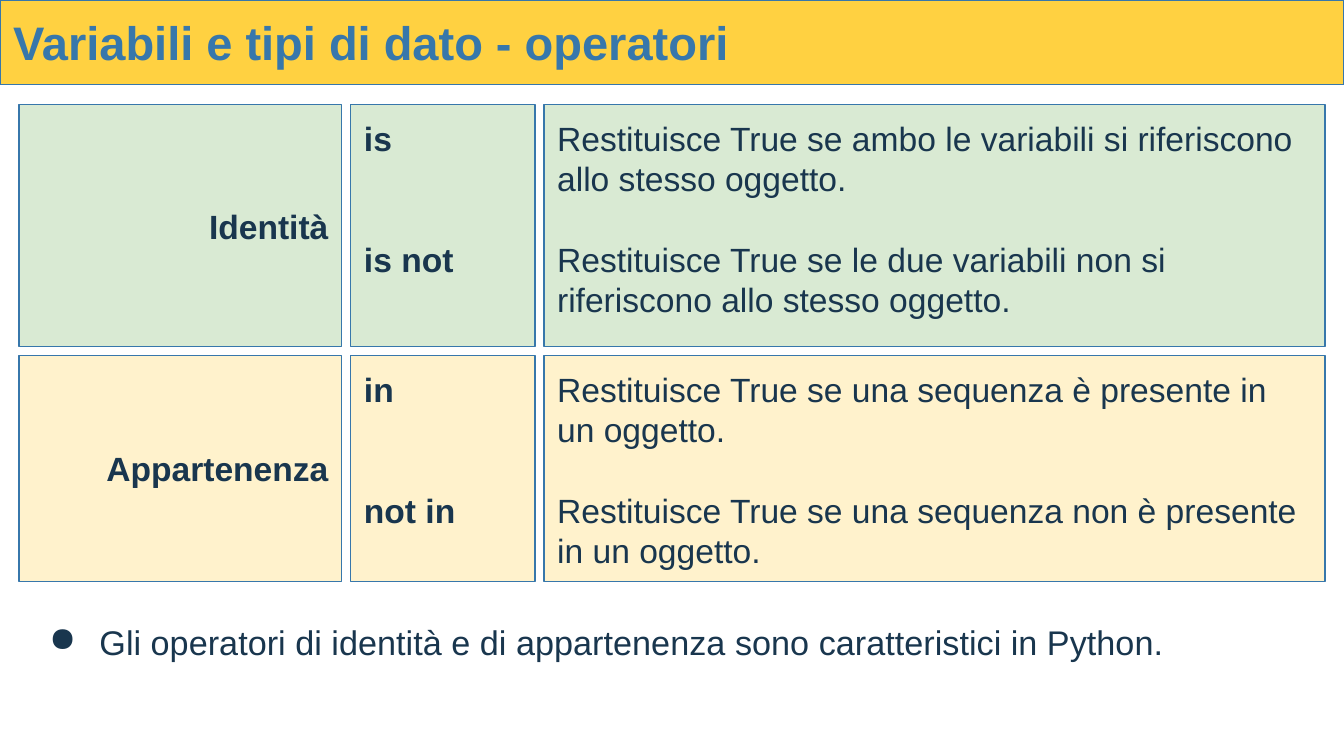
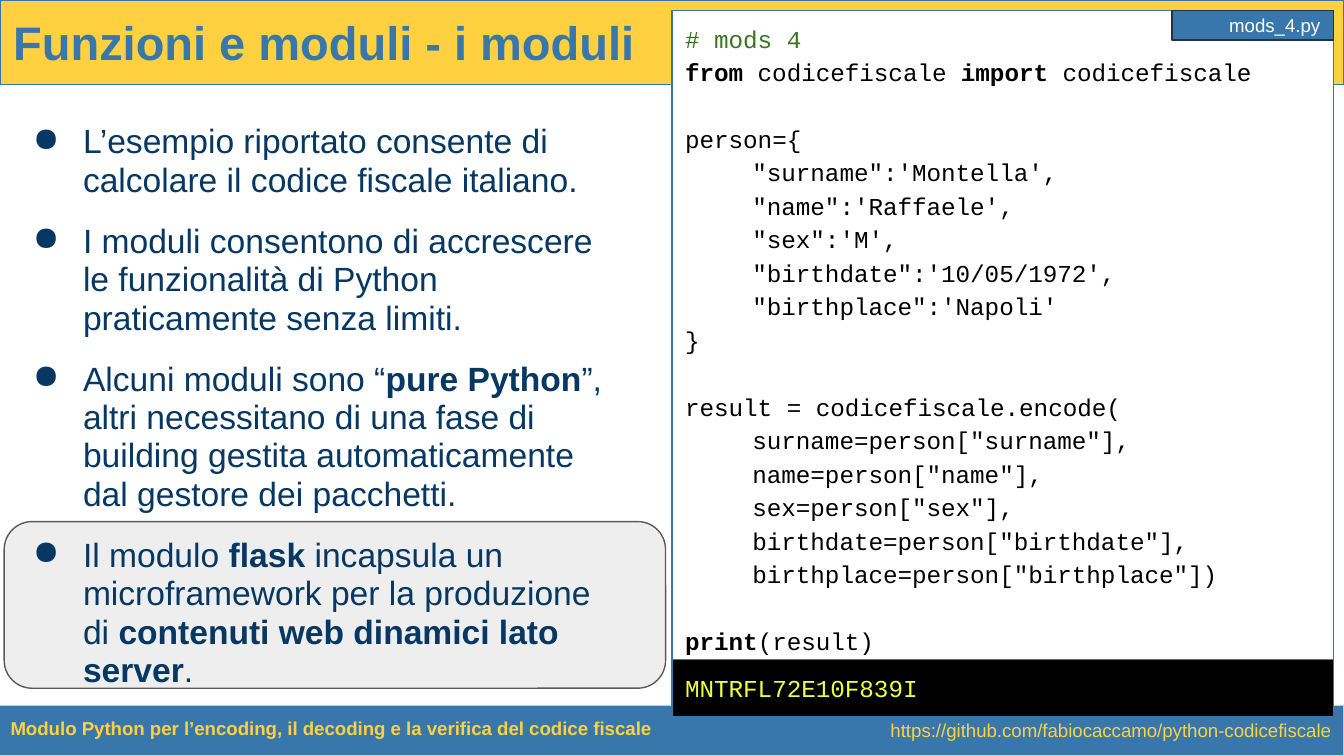
from dataclasses import dataclass, replace
from typing import Optional

import pptx
import pptx.dml.color
import pptx.enum.shapes
import pptx.enum.text
import pptx.oxml.ns
import pptx.util
from lxml import etree

Cm = pptx.util.Cm
Pt = pptx.util.Pt
RGBColor = pptx.dml.color.RGBColor
Align = pptx.enum.text.PP_ALIGN
Anchor = pptx.enum.text.MSO_ANCHOR
Preset = pptx.enum.shapes.MSO_SHAPE

# Palette
BLUE = RGBColor(0x37, 0x77, 0xAB)
YELLOW = RGBColor(0xFF, 0xD1, 0x41)
INK = RGBColor(0x19, 0x36, 0x4E)
NAVY = RGBColor(0x07, 0x37, 0x63)
GREEN_TINT = RGBColor(0xD9, 0xEA, 0xD3)
CREAM = RGBColor(0xFF, 0xF2, 0xCC)
PALE_GREY = RGBColor(0xEE, 0xEE, 0xEE)
DARK_GREY = RGBColor(0x59, 0x59, 0x59)
COMMENT_GREEN = RGBColor(0x38, 0x76, 0x1D)
OUTPUT_YELLOW = RGBColor(0xEE, 0xFF, 0x41)
WHITE = RGBColor(0xFF, 0xFF, 0xFF)
BLACK = RGBColor(0x00, 0x00, 0x00)

SLIDE_WIDTH, SLIDE_HEIGHT = 25.4, 14.29
INSET = 0.25
BULLET_INDENT, BULLET_HANG = 1.27, 0.95


@dataclass(frozen=True)
class Box:
    """Position and size in centimetres."""
    left: float
    top: float
    width: float
    height: float


@dataclass(frozen=True)
class TextStyle:
    size: float
    color: RGBColor
    font: str = "Arial"
    bold: bool = False
    align: Align = Align.LEFT
    anchor: Anchor = Anchor.TOP
    bullet: bool = False


@dataclass(frozen=True)
class Line:
    """One paragraph; **double asterisks** switch bold on and off."""
    text: str
    gap: float = 0
    indent: float = 0
    spacing: Optional[float] = None
    color: Optional[RGBColor] = None


@dataclass(frozen=True)
class OperatorFamily:
    name: str
    fill: RGBColor
    height: float
    operators: tuple[str, str]
    meanings: tuple[str, str]


TITLE = TextStyle(25.2, BLUE, bold=True)
MEANING = TextStyle(18, INK)
OPERATOR = replace(MEANING, bold=True)
FAMILY = replace(OPERATOR, align=Align.RIGHT, anchor=Anchor.MIDDLE)
REMARK = TextStyle(18.3, INK, bullet=True)
BULLETS = TextStyle(18, NAVY, bullet=True)
CODE = TextStyle(13, BLACK, font="Courier New")
OUTPUT = replace(CODE, color=OUTPUT_YELLOW)
FILE_TAG = TextStyle(10, WHITE, align=Align.RIGHT, anchor=Anchor.MIDDLE)
LINK = TextStyle(10, YELLOW, align=Align.RIGHT)
CAPTION = TextStyle(10, YELLOW, bold=True)

# Operator table
COLUMN_WIDTHS = (6.1, 3.48, 14.76)
TABLE_LEFT, TABLE_TOP, CELL_GAP = 0.36, 1.98, 0.17
TEXT_LINE = 21.6  # height of one 18 pt line, in points
FAMILIES = (
    OperatorFamily(
        "Identità", GREEN_TINT, 4.57, ("is", "is not"),
        ("Restituisce True se ambo le variabili si riferiscono allo stesso oggetto.",
         "Restituisce True se le due variabili non si riferiscono allo stesso oggetto.")),
    OperatorFamily(
        "Appartenenza", CREAM, 4.27, ("in", "not in"),
        ("Restituisce True se una sequenza è presente in un oggetto.",
         "Restituisce True se una sequenza non è presente in un oggetto.")),
)

# Module example
MODULE_POINTS = (
    "L’esempio riportato consente di calcolare il codice fiscale italiano.",
    "I moduli consentono di accrescere le funzionalità di Python praticamente senza limiti.",
    "Alcuni moduli sono “**pure Python**”, altri necessitano di una fase di building "
    "gestita automaticamente dal gestore dei pacchetti.",
    "Il modulo **flask** incapsula un microframework per la produzione di "
    "**contenuti web dinamici lato server**.",
)
CODE_INDENT, CODE_SPACING, CODE_LINE = 1.27, 1.15, 17.9
CODE_TEXT = """# mods 4
**from** codicefiscale **import** codicefiscale

person={
    "surname":'Montella',
    "name":'Raffaele',
    "sex":'M',
    "birthdate":'10/05/1972',
    "birthplace":'Napoli'
}

result = codicefiscale.encode(
    surname=person["surname"],
    name=person["name"],
    sex=person["sex"],
    birthdate=person["birthdate"],
    birthplace=person["birthplace"])

**print**(result)"""


def code_lines(source: str) -> list[Line]:
    """Turn blank lines into spacing and leading spaces into indents."""
    lines: list[Line] = []
    gap = 0.0
    for row in source.splitlines():
        if not row:
            gap = CODE_LINE
            continue
        lines.append(Line(
            row.strip(), gap,
            indent=CODE_INDENT if row.startswith(" ") else 0,
            spacing=CODE_SPACING if lines else None,
            color=COMMENT_GREEN if row.startswith("#") else None))
        gap = 0.0
    return lines


def add_bullet(paragraph, color: RGBColor) -> None:
    properties = paragraph._p.get_or_add_pPr()
    properties.set("marL", str(Cm(BULLET_INDENT)))
    properties.set("indent", str(-Cm(BULLET_HANG)))
    qn = pptx.oxml.ns.qn
    bullet_color = etree.SubElement(properties, qn("a:buClr"))
    etree.SubElement(bullet_color, qn("a:srgbClr")).set("val", str(color))
    etree.SubElement(properties, qn("a:buChar")).set("char", "●")


def write(shape, lines: list[Line], style: TextStyle) -> None:
    frame = shape.text_frame
    frame.word_wrap = True
    frame.vertical_anchor = style.anchor
    frame.margin_left = frame.margin_right = Cm(INSET)
    frame.margin_top = frame.margin_bottom = Cm(INSET)
    for number, line in enumerate(lines):
        paragraph = frame.add_paragraph() if number else frame.paragraphs[0]
        paragraph.alignment = style.align
        if line.spacing:
            paragraph.line_spacing = line.spacing
        if line.gap:
            paragraph.space_before = Pt(line.gap)
        if line.indent:
            paragraph._p.get_or_add_pPr().set("indent", str(Cm(line.indent)))
        if style.bullet:
            add_bullet(paragraph, style.color)
        for part, text in enumerate(line.text.split("**")):
            if not text:
                continue
            run = paragraph.add_run()
            run.text = text
            run.font.size = Pt(style.size)
            run.font.name = style.font
            run.font.bold = style.bold or part % 2 == 1
            run.font.color.rgb = line.color or style.color


def add_text(slide, box: Box, lines: list[Line], style: TextStyle) -> None:
    area = slide.shapes.add_textbox(
        Cm(box.left), Cm(box.top), Cm(box.width), Cm(box.height))
    write(area, lines, style)


def add_panel(slide, box: Box, fill: RGBColor, border: RGBColor = BLUE,
              lines: Optional[list[Line]] = None, style: TextStyle = MEANING,
              preset: Preset = Preset.RECTANGLE) -> None:
    panel = slide.shapes.add_shape(
        preset, Cm(box.left), Cm(box.top), Cm(box.width), Cm(box.height))
    panel.shadow.inherit = False
    panel.fill.solid()
    panel.fill.fore_color.rgb = fill
    panel.line.color.rgb = border
    panel.line.width = Pt(0.75)
    if lines:
        write(panel, lines, style)


def add_title(slide, text: str) -> None:
    add_panel(slide, Box(0, 0, SLIDE_WIDTH, 1.6), YELLOW,
              lines=[Line(text)], style=TITLE)


def build_operators(slide) -> None:
    add_title(slide, "Variabili e tipi di dato - operatori")
    top = TABLE_TOP
    for family in FAMILIES:
        first_operator, second_operator = family.operators
        first_meaning, second_meaning = family.meanings
        cells = (
            ([Line(family.name)], FAMILY),
            ([Line(first_operator), Line(second_operator, 2 * TEXT_LINE)], OPERATOR),
            ([Line(first_meaning), Line(second_meaning, TEXT_LINE)], MEANING),
        )
        left = TABLE_LEFT
        for width, (lines, style) in zip(COLUMN_WIDTHS, cells):
            add_panel(slide, Box(left, top, width, family.height), family.fill,
                      lines=lines, style=style)
            left += width + CELL_GAP
        top += family.height + CELL_GAP
    remark = Line("Gli operatori di identità e di appartenenza sono "
                  "caratteristici in Python.", spacing=1.15)
    add_text(slide, Box(TABLE_LEFT, 11.38, 24.69, 2.59), [remark], REMARK)


def build_modules(slide) -> None:
    # Highlight behind the last point, then title and points
    add_panel(slide, Box(0.08, 9.86, 12.5, 3.15), PALE_GREY, DARK_GREY,
              preset=Preset.ROUNDED_RECTANGLE)
    add_title(slide, "Funzioni e moduli - i moduli")
    points = [Line(text, gap=12.3 if number else 0, spacing=0.95)
              for number, text in enumerate(MODULE_POINTS)]
    add_text(slide, Box(0.05, 2.08, 11.99, 11.07), points, BULLETS)

    # Footer
    footer = Box(-0.05, 13.34, 25.45, 0.94)
    add_panel(slide, footer, BLUE, YELLOW,
              [Line("https://github.com/fabiocaccamo/python-codicefiscale")], LINK)
    add_text(slide, replace(footer, width=14.81),
             [Line("Modulo Python per l’encoding, il decoding e la verifica "
                   "del codice fiscale")], CAPTION)

    # Code, file name and program output
    code = Box(12.7, 0.2, 12.5, 12.5)
    add_panel(slide, code, WHITE, lines=code_lines(CODE_TEXT), style=CODE)
    add_panel(slide, Box(22.15, code.top, 3.05, 0.56), BLUE, INK,
              [Line("mods_4.py")], FILE_TAG)
    add_panel(slide, replace(code, top=12.47, height=1.07), BLACK,
              lines=[Line("MNTRFL72E10F839I")], style=OUTPUT)


def main() -> None:
    deck = pptx.Presentation()
    deck.slide_width = Cm(SLIDE_WIDTH)
    deck.slide_height = Cm(SLIDE_HEIGHT)
    blank = deck.slide_layouts[6]
    for build in (build_operators, build_modules):
        build(deck.slides.add_slide(blank))
    deck.save("out.pptx")


if __name__ == "__main__":
    main()
